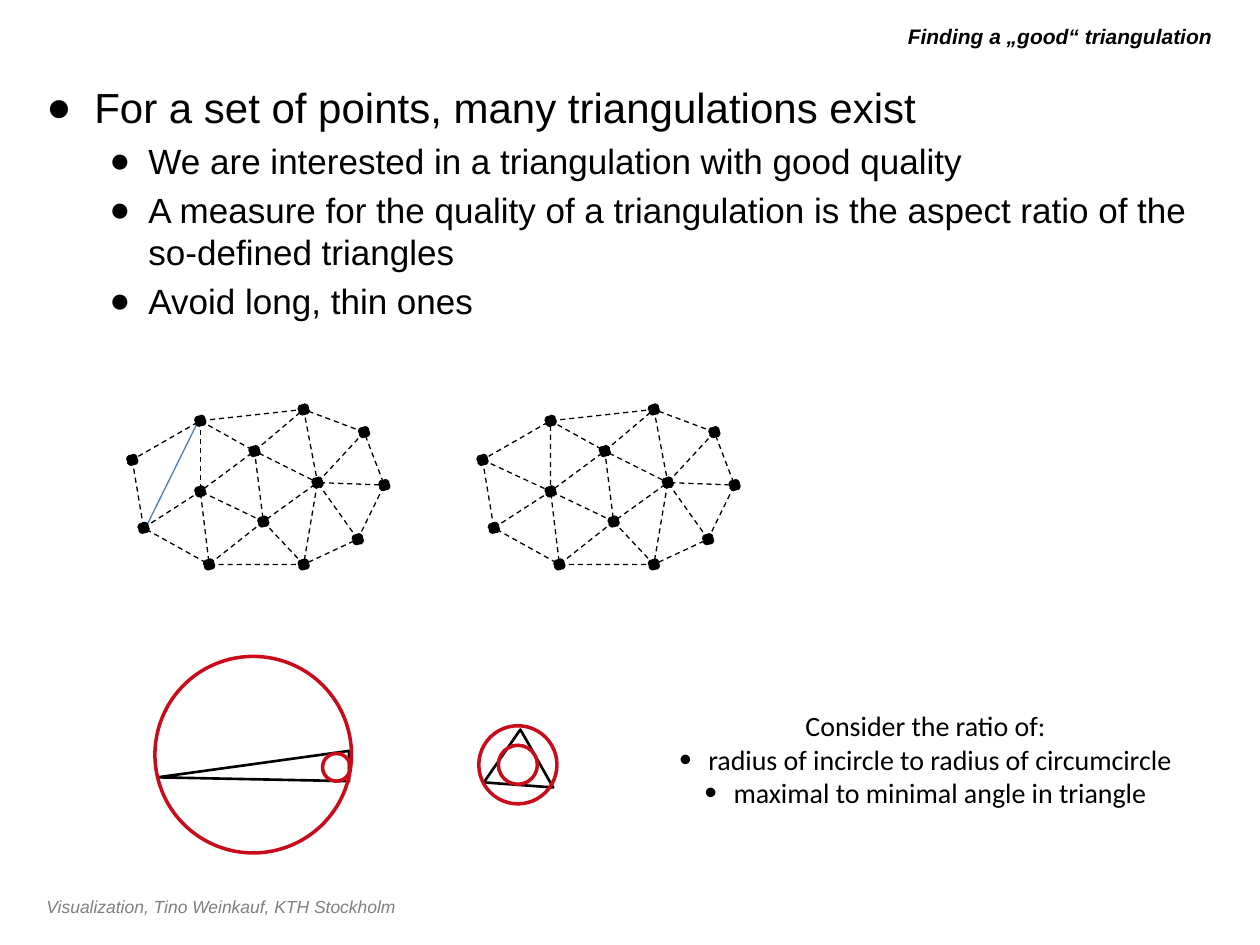
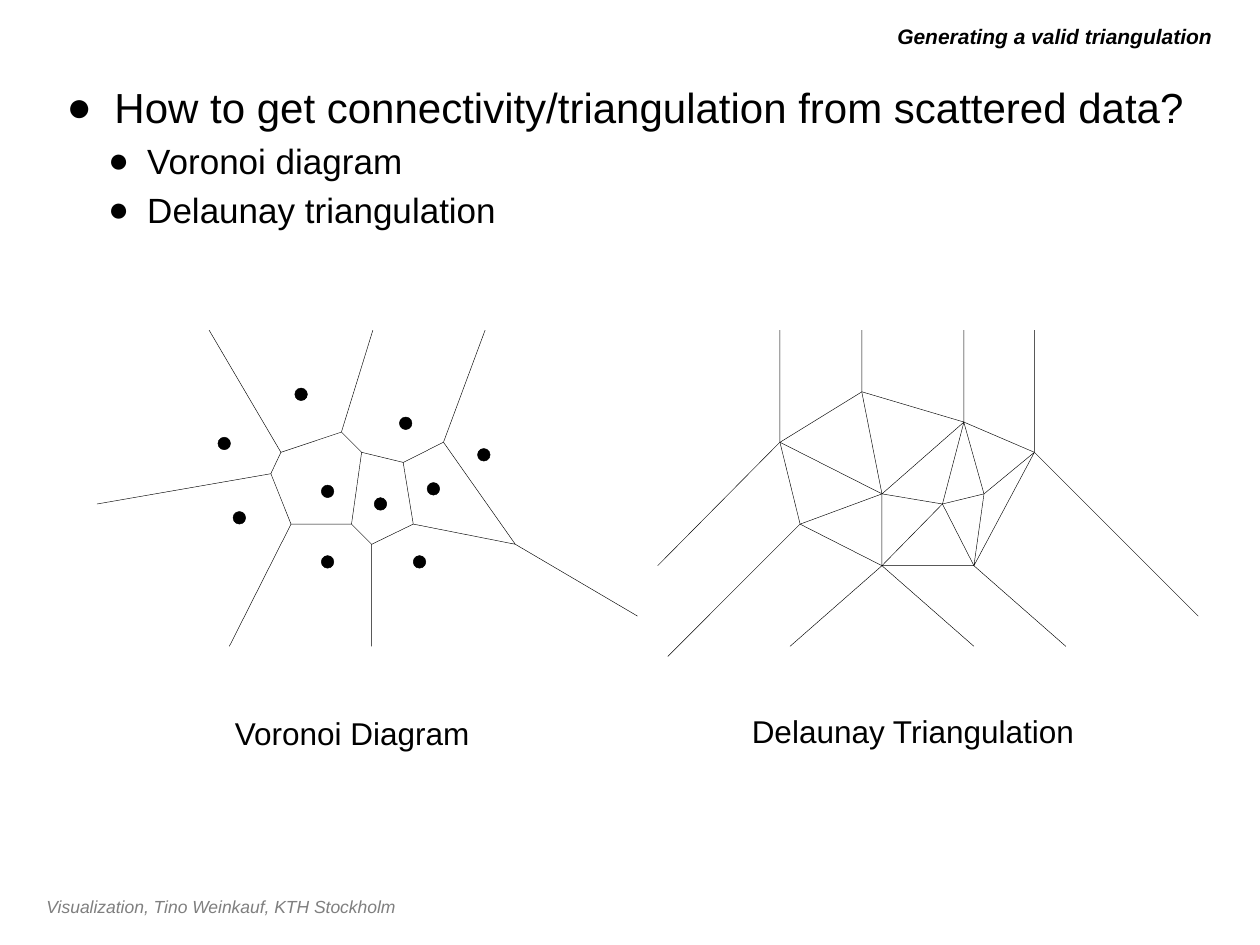
from dataclasses import dataclass

from pptx import Presentation
from pptx.dml.color import RGBColor
from pptx.enum.dml import MSO_LINE
from pptx.enum.shapes import MSO_CONNECTOR, MSO_SHAPE
from pptx.enum.text import MSO_ANCHOR, PP_ALIGN
from pptx.oxml.ns import qn
from pptx.util import Inches, Pt
from lxml import etree

DASH = MSO_LINE.DASH
STRAIGHT = MSO_CONNECTOR.STRAIGHT
OVAL = MSO_SHAPE.OVAL
MIDDLE, TOP = MSO_ANCHOR.MIDDLE, MSO_ANCHOR.TOP
LEFT, CENTER, RIGHT = PP_ALIGN.LEFT, PP_ALIGN.CENTER, PP_ALIGN.RIGHT


@dataclass(frozen=True)
class Theme:
    ink: str = "000000"
    grey: str = "7F7F7F"
    blue: str = "4A7DBB"
    red: str = "C90B1A"
    font: str = "Arial"
    note_font: str = "Calibri"
    footer: int = 10
    title: int = 12
    note: int = 16
    caption: int = 18
    point: int = 20
    headline: int = 24
    fine: float = 0.25
    thin: float = 0.75
    medium: float = 1.5
    thick: float = 2


THEME = Theme()
FOOTER = "Visualization, Tino Weinkauf, KTH Stockholm"

MESH_VERTICES = {
    "a": (0, 0.4), "b": (0.09, 0.94), "c": (0.61, 1.23), "d": (1.36, 1.23),
    "e": (1.79, 1.03), "f": (2, 0.6), "g": (1.84, 0.18), "h": (1.36, 0),
    "i": (0.54, 0.09), "j": (0.54, 0.65), "k": (0.97, 0.33),
    "l": (1.47, 0.58), "m": (1.04, 0.89),
}
MESH_TRAILS = ["abcdefghia", "bjkhlkmcjmlg", "mdlf", "el"]
THIN_MESH_TRAILS = ["ij", "ik"]
GOOD_MESH_TRAILS = ["ajik"]
THIN_EDGE = [(0.51, 0.12), (0.12, 0.91)]

VORONOI_VERTICES = {
    "a": (0.89, 0), "b": (1.46, 0.97), "c": (1.38, 1.14), "d": (0, 1.38),
    "e": (1.94, 0.81), "f": (2.19, 0), "g": (2.1, 0.97), "h": (2.02, 1.54),
    "i": (1.54, 1.54), "j": (1.05, 2.51), "k": (2.18, 1.7), "l": (2.18, 2.51),
    "m": (2.43, 1.05), "n": (2.51, 1.54), "o": (2.75, 0.89), "p": (3.08, 0),
    "q": (3.32, 1.7), "r": (4.29, 2.27),
}
VORONOI_TRAILS = ["abcd", "bef", "eghij", "ci", "hkl", "gmnk", "mop", "oqn", "qr"]
VORONOI_SITES = [
    (2.56, 1.84), (1.83, 1.84), (2.67, 1.26), (3.07, 0.99), (2.45, 0.74),
    (2.25, 1.38), (1.83, 1.28), (1.13, 1.49), (1.62, 0.51), (1.01, 0.9),
]

DELAUNAY_VERTICES = {
    "a": (0, 1.87), "b": (0.97, 0.89), "c": (0.97, 0), "d": (1.62, 0.49),
    "e": (1.62, 0), "f": (2.43, 0.73), "g": (2.43, 0), "h": (2.99, 0.97),
    "i": (2.99, 0), "j": (1.13, 1.54), "k": (0.32, 2.35), "l": (1.78, 1.3),
    "m": (1.78, 1.87), "n": (1.05, 2.51), "o": (0.08, 2.59), "p": (2.26, 1.38),
    "q": (2.51, 1.87), "r": (2.51, 2.51), "s": (2.59, 1.3), "t": (3.24, 2.51),
    "u": (4.29, 2.27),
}
DELAUNAY_TRAILS = ["abc", "bde", "dfg", "fhi", "bjk", "blj", "dlmn", "ko",
                   "mj", "lfpl", "rmpqm", "fsp", "tqshq", "hu"]


def style_line(line, color, width, dash=None):
    line.color.rgb = RGBColor.from_string(color)
    line.width = Pt(width)
    if dash is not None:
        line.dash_style = dash


def add_trail(page, origin, points, color, width, dash=None):
    left, top = origin
    places = [(Inches(left + x), Inches(top + y)) for x, y in points]
    if len(places) == 2:
        trail = page.shapes.add_connector(STRAIGHT, *places[0], *places[1])
        etree.SubElement(trail._element.spPr, qn("a:effectLst"))
    else:
        builder = page.shapes.build_freeform(*places[0], scale=1.0)
        builder.add_line_segments(places[1:], close=places[0] == places[-1])
        trail = builder.convert_to_shape()
        trail.fill.background()
        trail.shadow.inherit = False
    style_line(trail.line, color, width, dash)


def add_graph(page, origin, vertices, trails, width, dash=None):
    for trail in trails:
        points = [vertices[name] for name in trail]
        add_trail(page, origin, points, THEME.ink, width, dash)


def add_circle(page, center, diameter, color, width, dash=None, filled=False):
    x, y = center
    circle = page.shapes.add_shape(
        OVAL, Inches(x - diameter / 2), Inches(y - diameter / 2),
        Inches(diameter), Inches(diameter))
    circle.shadow.inherit = False
    if filled:
        circle.fill.solid()
        circle.fill.fore_color.rgb = RGBColor.from_string(color)
    else:
        circle.fill.background()
    style_line(circle.line, color, width, dash)


def add_dots(page, origin, centers, diameter, width, dash=None):
    left, top = origin
    for x, y in centers:
        add_circle(page, (left + x, top + y), diameter, THEME.ink, width, dash, True)


def add_text(page, box, lines, size, font=THEME.font, color=THEME.ink,
             align=LEFT, anchor=TOP, bold=False, italic=False):
    text_box = page.shapes.add_textbox(*map(Inches, box))
    frame = text_box.text_frame
    frame.word_wrap = True
    frame.vertical_anchor = anchor
    frame.text = "\n".join(lines)
    for para in frame.paragraphs:
        para.alignment = align
        for span in para.runs:
            span.font.name = font
            span.font.size = Pt(size)
            span.font.bold = bold
            span.font.italic = italic
            span.font.color.rgb = RGBColor.from_string(color)
    return frame


def add_bullet(para, mark, margin, hanging, percent=100):
    properties = para._p.get_or_add_pPr()
    properties.set("marL", str(Inches(margin)))
    properties.set("indent", str(-Inches(hanging)))
    etree.SubElement(properties, qn("a:buSzPct"), val=str(percent * 1000))
    etree.SubElement(properties, qn("a:buFont"), typeface=THEME.font)
    etree.SubElement(properties, qn("a:buChar"), char=mark)


def add_body(page, box, headline, points, headline_margin, point_margin):
    frame = add_text(page, box, [headline, *points], THEME.point)
    first, *rest = frame.paragraphs
    add_bullet(first, "●", headline_margin, 0.38)
    first.runs[0].font.size = Pt(THEME.headline)
    for para in rest:
        add_bullet(para, "●", point_margin, 0.31)
        para.space_before = Pt(THEME.point * 0.2)


def add_page(deck, title):
    page = deck.slides.add_slide(deck.slide_layouts[6])
    add_text(page, (0.27, 7.06, 7.39, 0.27), [FOOTER], THEME.footer,
             color=THEME.grey, italic=True)
    add_text(page, (1.58, 0.13, 8.14, 0.31), [title], THEME.title,
             align=RIGHT, anchor=MIDDLE, bold=True, italic=True)
    return page


def add_mesh(page, origin, extra_trails):
    add_graph(page, origin, MESH_VERTICES, MESH_TRAILS + extra_trails, THEME.thin, DASH)
    add_dots(page, origin, MESH_VERTICES.values(), 0.09, THEME.thin, DASH)


def add_circled_triangle(page, origin, corners, circles):
    left, top = origin
    add_trail(page, origin, corners + corners[:1], THEME.ink, THEME.medium)
    for x, y, diameter in circles:
        add_circle(page, (left + x, top + y), diameter, THEME.red, THEME.thick)


def add_ratio_note(page, box):
    frame = add_text(page, box, [
        "Consider the ratio of:",
        "radius of incircle to radius of circumcircle",
        "maximal to minimal angle in triangle",
    ], THEME.note, THEME.note_font, align=CENTER, anchor=MIDDLE)
    frame.margin_left = frame.margin_right = frame.margin_top = frame.margin_bottom = 0
    for para in frame.paragraphs[1:]:
        add_bullet(para, "•", 0.23, 0.23, 125)


def build_quality_page(deck, body_box):
    page = add_page(deck, "Finding a „good“ triangulation")
    add_body(page, body_box, "For a set of points, many triangulations exist", [
        "We are interested in a triangulation with good quality",
        "A measure for the quality of a triangulation is the aspect ratio of the "
        "so-defined triangles",
        "Avoid long, thin ones",
    ], 0.38, 0.81)
    thin_origin, good_origin = (1.05, 3.25), (3.83, 3.25)
    add_trail(page, thin_origin, THIN_EDGE, THEME.blue, THEME.thin)
    add_mesh(page, good_origin, GOOD_MESH_TRAILS)
    add_mesh(page, thin_origin, THIN_MESH_TRAILS)
    add_circled_triangle(page, (1.23, 5.21),
                         [(0.02, 0.96), (1.54, 0.75), (1.54, 0.99)],
                         [(1.44, 0.88, 0.22), (0.78, 0.78, 1.56)])
    add_circled_triangle(page, (3.8, 5.76),
                         [(0.33, 0.03), (0.59, 0.49), (0.04, 0.45)],
                         [(0.31, 0.31, 0.31), (0.31, 0.31, 0.62)])
    add_ratio_note(page, (5.19, 5.69, 4.31, 0.67))


def build_diagram_page(deck, body_box):
    page = add_page(deck, "Generating a valid triangulation")
    add_body(page, body_box,
             "How to get connectivity/triangulation from scattered data?",
             ["Voronoi diagram", "Delaunay triangulation"], 0.54, 0.8)
    voronoi_origin, delaunay_origin = (0.77, 2.62), (5.22, 2.62)
    add_graph(page, voronoi_origin, VORONOI_VERTICES, VORONOI_TRAILS, THEME.fine)
    add_dots(page, voronoi_origin, VORONOI_SITES, 0.1, THEME.fine)
    add_graph(page, delaunay_origin, DELAUNAY_VERTICES, DELAUNAY_TRAILS, THEME.fine)
    for left, top, caption in [(1.2, 5.62, "Voronoi Diagram"),
                               (5.65, 5.6, "Delaunay Triangulation")]:
        add_text(page, (left, top, 3.19, 0.4), [caption], THEME.caption, align=CENTER)


def main():
    deck = Presentation()
    deck.slide_width, deck.slide_height = Inches(10), Inches(7.5)
    body_box = (0.27, 0.6, 9.45, 6.3)
    build_quality_page(deck, body_box)
    build_diagram_page(deck, body_box)
    deck.save("out.pptx")


if __name__ == "__main__":
    main()
